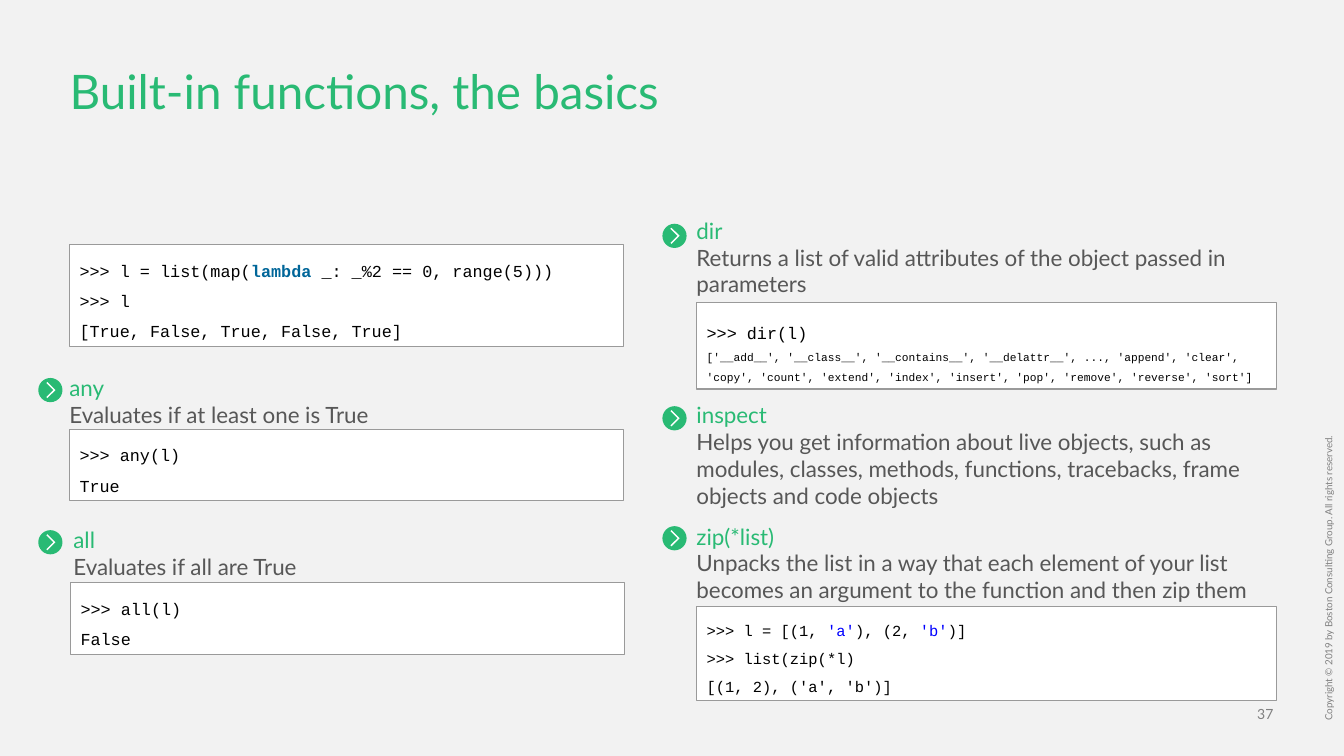
from pptx import Presentation
from pptx.dml.color import RGBColor
from pptx.enum.shapes import MSO_SHAPE
from pptx.enum.text import MSO_ANCHOR as ANCHOR, MSO_AUTO_SIZE, PP_ALIGN as ALIGN
from pptx.util import Inches, Pt

GREEN = RGBColor(0x29, 0xBA, 0x74)
WHITE = RGBColor(0xFF, 0xFF, 0xFF)
BLACK = RGBColor(0x00, 0x00, 0x00)
TEXT_GREY = RGBColor(0x57, 0x57, 0x57)
NOTE_GREY = RGBColor(0x80, 0x80, 0x80)
BORDER = RGBColor(0x9A, 0x9A, 0x9A)
BACKGROUND = RGBColor(0xF2, 0xF2, 0xF2)
KEYWORD = RGBColor(0x00, 0x66, 0x99)
STRING = RGBColor(0x00, 0x00, 0xFF)

# Code pieces that are highlighted when they form a run of their own
HIGHLIGHTS = {"lambda": KEYWORD, "'a'": STRING, "'b'": STRING}
CHEVRON = [(0.09, 0.04), (0.08, 0.05), (0.15, 0.12),
           (0.08, 0.19), (0.09, 0.2), (0.17, 0.12)]


class SlideBuilder:
    body_font = "Lato"
    code_font = "Courier New"
    badge_size = 0.24

    def __init__(self, prs):
        self.s = prs.slides.add_slide(prs.slide_layouts[5])
        self.s.background.fill.solid()
        self.s.background.fill.fore_color.rgb = BACKGROUND

    def style(self, r, size, color, font=None):
        r.font.name = font or self.body_font
        r.font.size = Pt(size)
        r.font.color.rgb = color

    def frame(self, sp, anchor, inset=True):
        tf = sp.text_frame
        tf.word_wrap = True
        tf.auto_size = MSO_AUTO_SIZE.NONE
        tf.vertical_anchor = anchor
        if not inset:
            tf.margin_left = tf.margin_right = tf.margin_top = tf.margin_bottom = 0
        return tf

    def title(self, text, x, y, w, h):
        sp = self.s.shapes.title
        sp.left, sp.top, sp.width, sp.height = map(Inches, (x, y, w, h))
        tf = self.frame(sp, ANCHOR.TOP, inset=False)
        tf.text = text
        p = tf.paragraphs[0]
        p.alignment, p.line_spacing = ALIGN.LEFT, 0.9
        self.style(p.runs[0], 34, GREEN)

    def note(self, text, x, y, w, h, size, align=ALIGN.LEFT, anchor=ANCHOR.TOP, rotation=0):
        sp = self.s.shapes.add_textbox(*map(Inches, (x, y, w, h)))
        sp.rotation = rotation
        tf = self.frame(sp, anchor, inset=False)
        tf.text = text
        p = tf.paragraphs[0]
        p.alignment, p.line_spacing = align, 0.9
        self.style(p.runs[0], size, NOTE_GREY)

    def topic(self, name, description, x, y, w, h):
        sp = self.s.shapes.add_textbox(*map(Inches, (x, y, w, h)))
        tf = self.frame(sp, ANCHOR.MIDDLE)
        tf.text = f"{name}\n{description}"
        for p, color in zip(tf.paragraphs, (GREEN, TEXT_GREY)):
            self.style(p.runs[0], 16, color)

    def fill(self, sp, color):
        sp.shadow.inherit = False
        sp.fill.solid()
        sp.fill.fore_color.rgb = color
        sp.line.fill.background()

    def badge(self, x, y):
        shapes = self.s.shapes.add_group_shape().shapes
        box = map(Inches, (x, y, self.badge_size, self.badge_size))
        self.fill(shapes.add_shape(MSO_SHAPE.OVAL, *box), GREEN)
        points = [(Inches(x + dx), Inches(y + dy)) for dx, dy in CHEVRON]
        outline = shapes.build_freeform(*points[0])
        outline.add_line_segments(points[1:], close=True)
        self.fill(outline.convert_to_shape(), WHITE)

    def code(self, lines, x, y, w, h):
        """Each line is (size, line spacing, pieces)."""
        sp = self.s.shapes.add_shape(MSO_SHAPE.RECTANGLE, *map(Inches, (x, y, w, h)))
        self.fill(sp, WHITE)
        sp.line.color.rgb = BORDER
        sp.line.width = Pt(0.75)
        tf = self.frame(sp, ANCHOR.MIDDLE)
        for i, (size, spacing, pieces) in enumerate(lines):
            p = tf.add_paragraph() if i else tf.paragraphs[0]
            p.alignment, p.line_spacing = ALIGN.LEFT, spacing
            for piece in pieces:
                r = p.add_run()
                r.text = piece
                self.style(r, size, HIGHLIGHTS.get(piece, BLACK), self.code_font)
                r.font.bold = piece == "lambda"


def listing(size, *lines):
    return [(size, 1.5, [ln] if isinstance(ln, str) else ln) for ln in lines]


def main():
    prs = Presentation()
    prs.slide_width, prs.slide_height = Inches(13.33), Inches(7.5)
    b = SlideBuilder(prs)

    # Title and footer
    b.title("Built-in functions, the basics", 0.69, 0.68, 11.96, 0.51)
    b.note("37", 12.21, 7, 0.42, 0.17, 10, ALIGN.RIGHT, ANCHOR.BOTTOM)
    b.note("Copyright © 2019 by Boston Consulting Group. All rights reserved.",
           10.38, 4.29, 5.61, 0.11, 7, rotation=270)

    # Code listings: left column, then right column
    b.code(listing(12, [">>> l = list(map(", "lambda", " _: _%2 == 0, range(5)))"],
                   ">>> l", "[True, False, True, False, True]"), 0.69, 2.43, 5.49, 1.01)
    b.code(listing(12, ">>> any(l)", "True"), 0.69, 4.26, 5.49, 0.71)
    b.code(listing(12, ">>> all(l)", "False"), 0.7, 5.78, 5.49, 0.71)
    b.code([(12, 1.75, [">>> dir(l)"]),
            (8, 1.5, ["['__add__', '__class__', '__contains__', '__delattr__', ..., "
                      "'append', 'clear', 'copy', 'count', 'extend', 'index', 'insert', "
                      "'pop', 'remove', 'reverse', 'sort']"])], 6.91, 3, 5.75, 0.86)
    b.code(listing(11, [">>> l = [(1, ", "'a'", "), (2, ", "'b'", ")]"],
                   ">>> list(zip(*l)", "[(1, 2), ('a', 'b')]"), 6.91, 6.02, 5.75, 0.93)

    # Topics with their badges
    topics = [
        ("any", "Evaluates if at least one is True", (0.59, 3.8, 3.91, 0.35), (0.38, 3.75)),
        ("all", "Evaluates if all are True", (0.63, 5.31, 3.91, 0.35), (0.38, 5.26)),
        ("dir", "Returns a list of valid attributes of the object passed in parameters",
         (6.81, 2.09, 5.9, 0.92), (6.57, 2.22)),
        ("inspect", "Helps you get information about live objects, such as modules, classes, "
         "methods, functions, tracebacks, frame objects and code objects",
         (6.81, 3.86, 5.9, 1.31), (6.57, 4.03)),
        ("zip(*list)", "Unpacks the list in a way that each element of your list becomes "
         "an argument to the function and then zip them",
         (6.81, 4.93, 5.9, 1.31), (6.57, 5.22)),
    ]
    for name, description, box, badge in topics:
        b.topic(name, description, *box)
        b.badge(*badge)

    prs.save("out.pptx")


if __name__ == "__main__":
    main()
